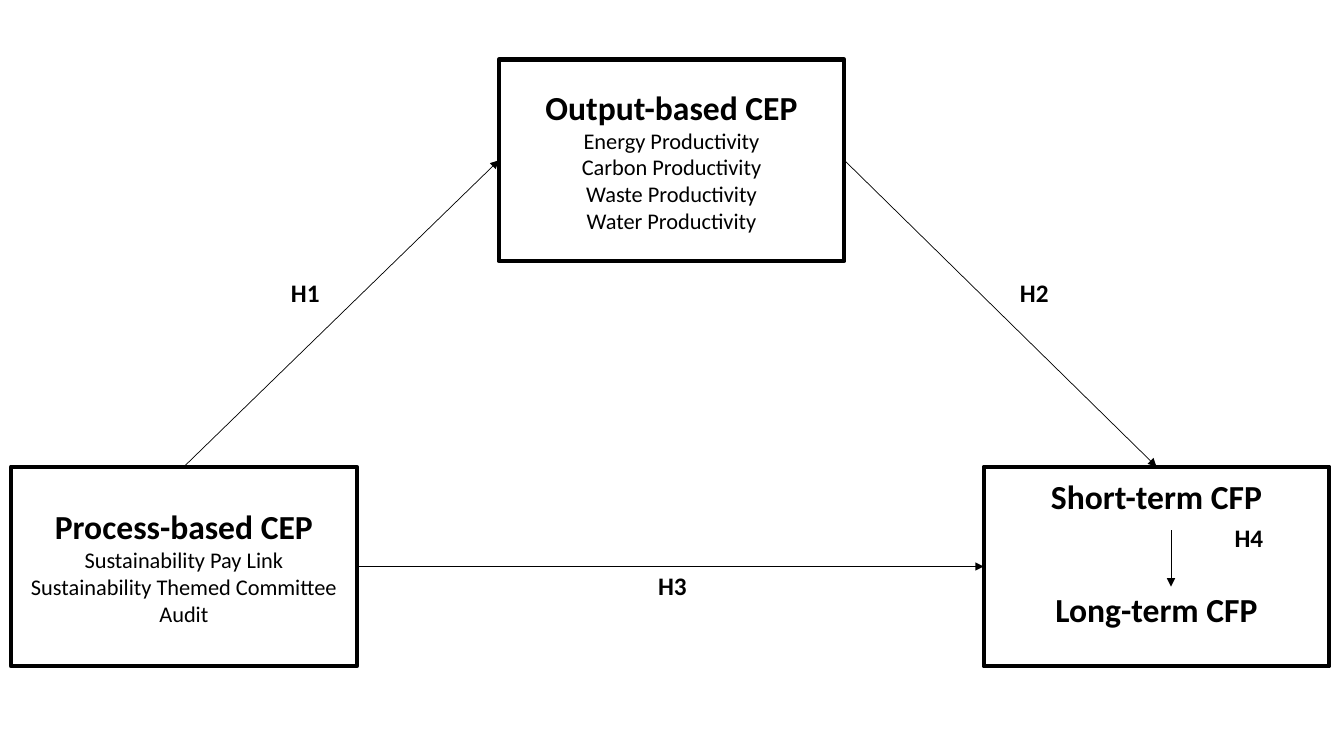
import pptx
import pptx.util
import pptx.dml.color
import pptx.enum.shapes
import pptx.enum.text
import pptx.oxml.ns
import lxml.etree

Cm = pptx.util.Cm
Pt = pptx.util.Pt
HUES = {"ink": "000000", "paper": "FFFFFF"}
TOP, LEFT, BASE, RIGHT = range(4)


def hue(name):
    return pptx.dml.color.RGBColor.from_string(HUES[name])


def style(para, size, bold):
    para.alignment = pptx.enum.text.PP_ALIGN.CENTER
    for run in para.runs:
        run.font.name = "Calibri"
        run.font.size = Pt(size)
        run.font.bold = bold
        run.font.color.rgb = hue("ink")


def box(slide, left, top, high, heads, items=()):
    shape = slide.shapes.add_shape(
        pptx.enum.shapes.MSO_SHAPE.RECTANGLE, Cm(left), Cm(top), Cm(8.71), Cm(high))
    shape.shadow.inherit = False
    shape.fill.solid()
    shape.fill.fore_color.rgb = hue("paper")
    shape.line.color.rgb = hue("ink")
    shape.line.width = Pt(3)
    frame = shape.text_frame
    frame.word_wrap = True
    frame.vertical_anchor = pptx.enum.text.MSO_ANCHOR.MIDDLE
    frame.text = "\n".join([*heads, *items])
    for rank, para in enumerate(frame.paragraphs):
        head = rank < len(heads)
        style(para, 24 if head else 16, head)
    return shape


def arrow(slide, start=(0, 0), end=(0, 0), source=None, target=None):
    line = slide.shapes.add_connector(
        pptx.enum.shapes.MSO_CONNECTOR.STRAIGHT, *map(Cm, start + end))
    if source:
        line.begin_connect(*source)
    if target:
        line.end_connect(*target)
    line.line.color.rgb = hue("ink")
    line.line.width = Pt(0.5)
    qn = pptx.oxml.ns.qn
    lxml.etree.SubElement(line.line._get_or_add_ln(), qn("a:tailEnd"), type="triangle")
    lxml.etree.SubElement(line._element.spPr, qn("a:effectLst"))


def label(slide, text, left, top):
    frame = slide.shapes.add_textbox(Cm(left), Cm(top), Cm(1.83), Cm(1.02)).text_frame
    frame.word_wrap = True
    frame.text = text
    style(frame.paragraphs[0], 18, True)


def main():
    deck = pptx.Presentation()
    deck.slide_width, deck.slide_height = Cm(33.87), Cm(19.05)
    slide = deck.slides.add_slide(deck.slide_layouts[6])

    output = box(slide, 12.57, 1.5, 5.08, ["Output-based CEP"], [
        f"{kind} Productivity" for kind in ("Energy", "Carbon", "Waste", "Water")])
    process = box(slide, 0.28, 11.76, 5.03, ["Process-based CEP"], [
        "Sustainability Pay Link", "Sustainability Themed Committee", "Audit"])
    profit = box(slide, 24.79, 11.76, 5.03, ["Short-term CFP", "Long-term CFP"])
    frame = profit.text_frame
    frame.vertical_anchor = pptx.enum.text.MSO_ANCHOR.TOP
    frame.margin_top = Cm(0.23)
    frame.paragraphs[1].space_before = Pt(52)

    arrow(slide, source=(output, RIGHT), target=(profit, TOP))
    arrow(slide, source=(process, TOP), target=(output, LEFT))
    arrow(slide, source=(process, RIGHT), target=(profit, LEFT))
    arrow(slide, (29.51, 13.36), (29.51, 14.78))

    for text, left, top in (("H1", 6.78, 6.86), ("H2", 25.15, 6.86),
                            ("H3", 16.03, 14.25), ("H4", 30.56, 13.03)):
        label(slide, text, left, top)
    deck.save("out.pptx")


if __name__ == "__main__":
    main()
